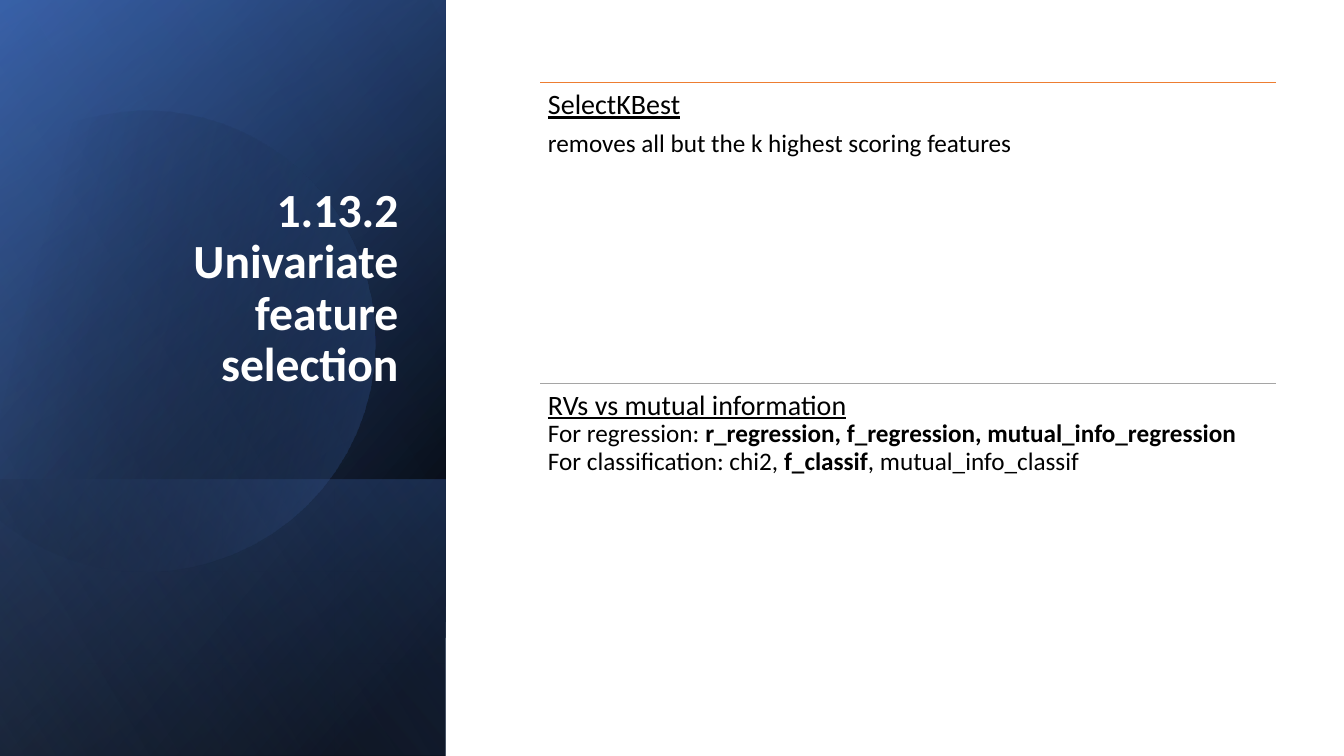
from dataclasses import dataclass
from math import cos, radians, sin

from pptx import Presentation
from pptx.dml.color import RGBColor as Rgb
from pptx.enum.shapes import MSO_CONNECTOR as Link, MSO_SHAPE as Preset
from pptx.enum.text import MSO_ANCHOR as Anchor, PP_ALIGN as Align
from pptx.oxml import parse_xml as to_xml
from pptx.oxml.ns import nsdecls, qn
from pptx.util import Cm, Pt

INK = {"black": "000000", "white": "FFFFFF", "navy": "2F5597", "blue": "4472C4",
       "sky": "8FAADC", "orange": "ED7D31", "gray": "A5A5A5"}
FONT = "Calibri"
SIDE, TALL = 11.23, 19.05  # side panel, in cm


@dataclass
class Stop:
    pos: int
    ink: str
    alpha: int = 100


@dataclass
class Panel:
    top: float
    high: float
    angle: int
    stops: list[Stop]


@dataclass
class Run:
    text: str
    size: int = 18
    bold: bool = False
    under: bool = False


@dataclass
class Topic:
    ink: str
    paras: list[list[list[Run]]]  # paragraphs, lines, runs


BACK = [
    Panel(0, TALL, 50, [Stop(8, "black"), Stop(100, "navy")]),
    Panel(0, TALL, 30, [Stop(0, "black", 0), Stop(99, "blue", 46)]),
    Panel(12.09, 6.96, 130, [Stop(2, "blue", 29), Stop(100, "black", 30)]),
]
FRONT = Panel(0, TALL, 120, [Stop(0, "black", 0), Stop(99, "sky", 11)])

DISC_TURN, DISC_MID = 343.9, (4.03, 8.5)
DISC_STOPS = [Stop(29, "black", 0), Stop(100, "blue", 43)]
DISC = [  # one point is a line, three are a Bezier curve
    [(3.78, 2.79)],
    [(6.25, 2.84), (8.51, 4.5), (9.22, 6.99)],
    [(10.11, 10.08), (8.33, 13.28), (5.26, 14.17)],
    [(3.33, 14.73), (1.35, 14.25), (-0.08, 13.06)],
    [(-0.38, 12.78)],
    [(-0.38, 4.45)],
    [(0, 4.09)],
    [(0.58, 3.61), (1.27, 3.25), (2.03, 3.02)],
    [(2.62, 2.87), (3.2, 2.79), (3.78, 2.79)],
]

TOPICS = [
    Topic("orange", [
        [[Run("SelectKBest", 20, under=True)]],
        [[Run("removes all but the k highest scoring features")]],
    ]),
    Topic("gray", [[
        [Run("RVs vs mutual information", 20, under=True)],
        [Run("For regression: "),
         Run("r_regression, f_regression, mutual_info_regression", bold=True)],
        [Run("For classification: chi2, "), Run("f_classif", bold=True),
         Run(", mutual_info_classif")],
    ]]),
]


def shade(shape, stops: list[Stop], angle: float) -> None:
    """Give a shape a linear gradient, with no outline or shadow."""
    marks = "".join(
        f'<a:gs pos="{s.pos * 1000}"><a:srgbClr val="{INK[s.ink]}">'
        f'<a:alpha val="{s.alpha * 1000}"/></a:srgbClr></a:gs>' for s in stops)
    grad = to_xml(f'<a:gradFill {nsdecls("a")} rotWithShape="1"><a:gsLst>{marks}</a:gsLst>'
                  f'<a:lin ang="{round(angle * 60000)}" scaled="0"/></a:gradFill>')
    shape.shadow.inherit = False
    shape.line.fill.background()
    shape.fill.background()
    props = shape._element.spPr
    props.replace(props.find(qn("a:noFill")), grad)


def add_panel(slide, panel: Panel) -> None:
    """Draw a flipped rectangle that a quarter turn fits to the side panel."""
    shift = (SIDE - panel.high) / 2
    shape = slide.shapes.add_shape(Preset.RECTANGLE, Cm(shift), Cm(panel.top - shift),
                                   Cm(panel.high), Cm(SIDE))
    shape.rotation = 90
    shape._element.spPr.xfrm.set("flipH", "1")
    shade(shape, panel.stops, panel.angle)


def trace(parts: list, steps: int = 16) -> list[tuple[float, float]]:
    """Turn lines and Bezier curves into a list of points."""
    points = []
    for part in parts:
        if len(part) == 1:
            points += part
            continue
        knots = [points[-1], *part]
        for i in range(1, steps + 1):
            t = i / steps
            mix = ((1 - t) ** 3, 3 * t * (1 - t) ** 2, 3 * t * t * (1 - t), t ** 3)
            points.append(tuple(sum(m * k[axis] for m, k in zip(mix, knots))
                                for axis in (0, 1)))
    return points


def add_disc(slide) -> None:
    """Draw the cut disc upright, then rotate it into place."""
    turn = radians(-DISC_TURN)
    mid_x, mid_y = DISC_MID
    points = []
    for x, y in trace(DISC):
        dx, dy = x - mid_x, y - mid_y
        points.append((Cm(mid_x + dx * cos(turn) - dy * sin(turn)),
                       Cm(mid_y + dx * sin(turn) + dy * cos(turn))))
    form = slide.shapes.build_freeform(*points[0])
    form.add_line_segments(points[1:], close=True)
    shape = form.convert_to_shape()
    shape.rotation = DISC_TURN
    shade(shape, DISC_STOPS, 30)


def write(para, text: str, *, size: int, ink: str = "black",
          bold: bool = False, under: bool = False) -> None:
    run = para.add_run()
    run.text = text
    font = run.font
    font.name, font.size, font.bold, font.underline = FONT, Pt(size), bold, under
    font.color.rgb = Rgb.from_string(INK[ink])


def add_title(slide) -> None:
    title = slide.shapes.title
    title.left, title.top, title.width, title.height = Cm(1.63), Cm(4.67), Cm(8.66), Cm(6.65)
    frame = title.text_frame
    frame.word_wrap = True
    frame.vertical_anchor = Anchor.BOTTOM
    frame.margin_left = frame.margin_right = Cm(0.25)
    frame.margin_top, frame.margin_bottom = Cm(0.13), Cm(1.44)
    para = frame.paragraphs[0]
    para.alignment, para.line_spacing = Align.RIGHT, 0.9
    para.space_before = Pt(0)
    write(para, "1.13.2 Univariate feature selection", size=34, ink="white", bold=True)


def add_topic(slide, topic: Topic, top: float) -> None:
    left, wide, high = 13.61, 18.54, 7.57
    rule = slide.shapes.add_connector(Link.STRAIGHT, Cm(left), Cm(top),
                                      Cm(left + wide), Cm(top))
    rule.line.width = Pt(0.5)
    rule.line.color.rgb = Rgb.from_string(INK[topic.ink])
    rule._element.spPr.append(to_xml(f'<a:effectLst {nsdecls("a")}/>'))
    frame = slide.shapes.add_textbox(Cm(left), Cm(top), Cm(wide), Cm(high)).text_frame
    frame.word_wrap = True
    frame.margin_left = frame.margin_right = Cm(0.2)
    frame.margin_top = frame.margin_bottom = Cm(0.2)
    for i, lines in enumerate(topic.paras):
        para = frame.add_paragraph() if i else frame.paragraphs[0]
        para.alignment, para.line_spacing, para.space_after = Align.LEFT, 0.9, Pt(7)
        for j, line in enumerate(lines):
            if j:
                para.add_line_break()
            for run in line:
                write(para, run.text, size=run.size, bold=run.bold, under=run.under)


def main() -> None:
    deck = Presentation()
    deck.slide_width, deck.slide_height = Cm(33.87), Cm(TALL)
    slide = deck.slides.add_slide(deck.slide_layouts[5])
    for panel in BACK:
        add_panel(slide, panel)
    add_disc(slide)
    add_panel(slide, FRONT)
    tree = slide.shapes._spTree
    tree.append(slide.shapes.title._element)  # bring the title to the front
    add_title(slide)
    for i, topic in enumerate(TOPICS):
        add_topic(slide, topic, 2.08 + i * 7.57)
    deck.save("out.pptx")


if __name__ == "__main__":
    main()
